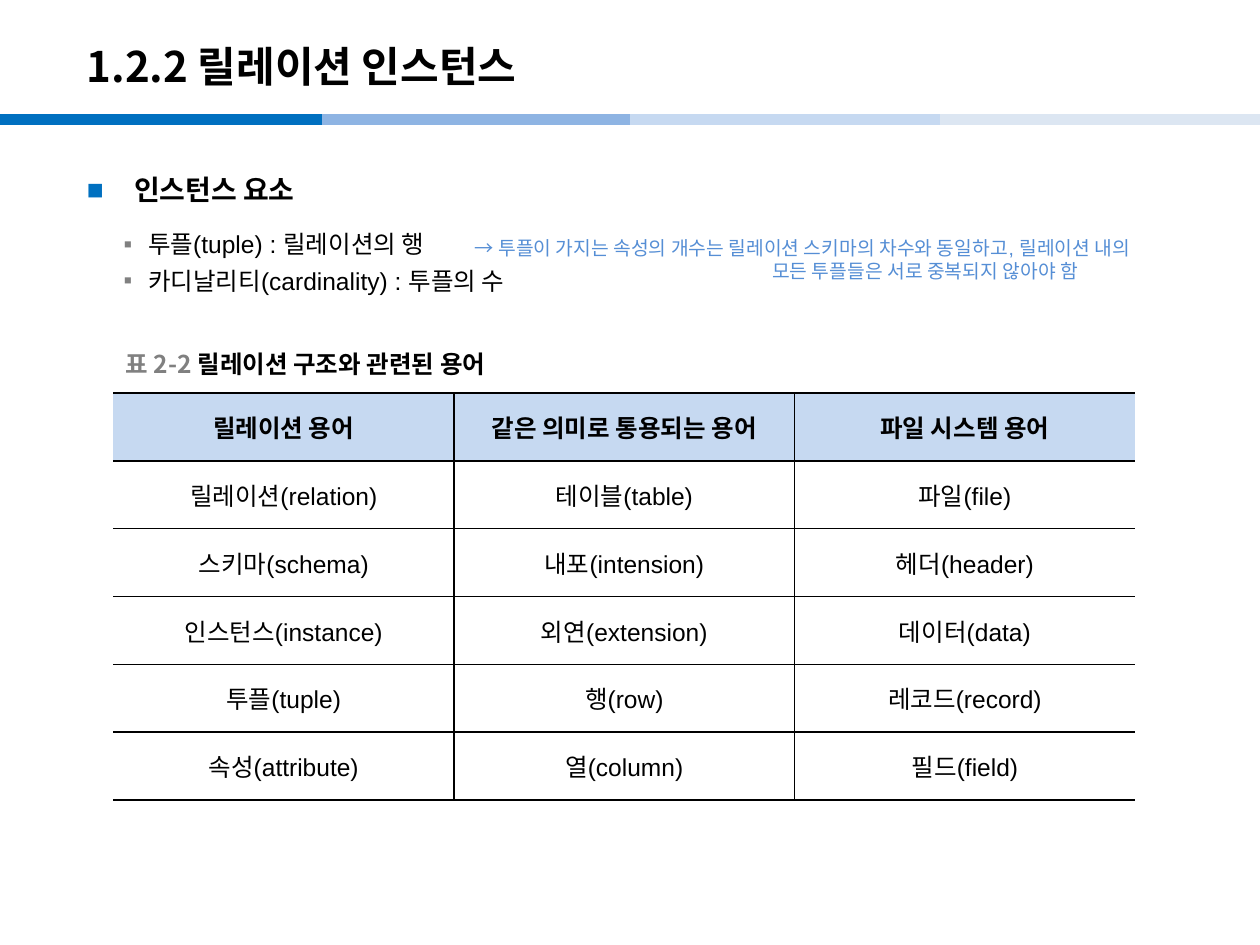
from lxml import etree
from pptx import Presentation
from pptx.dml.color import RGBColor
from pptx.enum.shapes import MSO_CONNECTOR
from pptx.enum.text import MSO_ANCHOR, PP_ALIGN
from pptx.oxml.ns import qn
from pptx.util import Pt

LINE = MSO_CONNECTOR.STRAIGHT
TOP, MIDDLE = MSO_ANCHOR.TOP, MSO_ANCHOR.MIDDLE
CENTER = PP_ALIGN.CENTER

# Content
TITLE = "1.2.2 릴레이션 인스턴스"
HEADING = "인스턴스 요소"
ITEMS = ["투플(tuple) : 릴레이션의 행", "카디날리티(cardinality) : 투플의 수"]
NOTE = [
    "→ 투플이 가지는 속성의 개수는 릴레이션 스키마의 차수와 동일하고, 릴레이션 내의",
    "모든 투플들은 서로 중복되지 않아야 함",
]
CAPTION = [("표 2-2 ", "gray"), ("릴레이션 구조와 관련된 용어", "text")]
TABLE = [
    ("릴레이션 용어", "같은 의미로 통용되는 용어", "파일 시스템 용어"),
    ("릴레이션(relation)", "테이블(table)", "파일(file)"),
    ("스키마(schema)", "내포(intension)", "헤더(header)"),
    ("인스턴스(instance)", "외연(extension)", "데이터(data)"),
    ("투플(tuple)", "행(row)", "레코드(record)"),
    ("속성(attribute)", "열(column)", "필드(field)"),
]

THEME = {
    "color": {"text": "000000", "gray": "808080", "note": "558ED5",
              "accent": "0070C0", "header": "C6D9F1", "cell": "FFFFFF"},
    "band": ["0070C0", "8EB4E3", "C6D9F1", "DCE6F2"],
    "size": {"title": 24, "heading": 16, "body": 14, "note": 11},
    "latin": "Arial",
    "korean": "Noto Sans CJK KR",
}
COLOR, SIZE = THEME["color"], THEME["size"]
LATIN, KOREAN = THEME["latin"], THEME["korean"]

# Layout, in points
SLIDE_W, SLIDE_H = 720, 540
BAND_Y, BAND_X = 68.4, [0, 184.3, 360, 537.1, SLIDE_W]
TABLE_X, TABLE_Y, COL_W, ROW_H = 64.8, 224.6, 194.64, 38.76


def add_run(p, text, size, font=LATIN, color="text", bold=False):
    r = p.add_run()
    r.text = text
    r.font.size = Pt(SIZE[size])
    r.font.name = font
    r.font.bold = bold
    r.font.color.rgb = RGBColor.from_string(COLOR[color])
    ea = etree.SubElement(r.font._element, qn("a:ea"))
    ea.set("typeface", KOREAN)


def add_text_box(s, x, y, w, h, anchor=MIDDLE):
    tf = s.shapes.add_textbox(Pt(x), Pt(y), Pt(w), Pt(h)).text_frame
    tf.word_wrap = True
    tf.vertical_anchor = anchor
    return tf


def set_indent(p, left, first=0):
    pPr = p._p.get_or_add_pPr()
    pPr.set("marL", str(Pt(left)))
    pPr.set("indent", str(Pt(first)))
    return pPr


def set_bullet(p, char, color, left, hang):
    pPr = set_indent(p, left, -hang)
    clr = etree.SubElement(pPr, qn("a:buClr"))
    etree.SubElement(clr, qn("a:srgbClr")).set("val", COLOR[color])
    etree.SubElement(pPr, qn("a:buFont")).set("typeface", LATIN)
    etree.SubElement(pPr, qn("a:buChar")).set("char", char)


def set_borders(cell, sides):
    tcPr = cell._tc.get_or_add_tcPr()
    for side in ("L", "R", "T", "B"):
        ln = etree.Element(qn(f"a:ln{side}"), w=str(Pt(1)))
        if side in sides:
            fill = etree.SubElement(ln, qn("a:solidFill"))
            etree.SubElement(fill, qn("a:srgbClr")).set("val", COLOR["text"])
        else:
            etree.SubElement(ln, qn("a:noFill"))
        tcPr.append(ln)


def add_band(s):
    for x1, x2, color in zip(BAND_X, BAND_X[1:], THEME["band"]):
        line = s.shapes.add_connector(LINE, Pt(x1), Pt(BAND_Y), Pt(x2), Pt(BAND_Y))
        line.line.width = Pt(6)
        line.line.color.rgb = RGBColor.from_string(color)
        etree.SubElement(line._element.spPr, qn("a:effectLst"))


def add_body(s):
    tf = add_text_box(s, 42.5, 85.7, 635, 430, TOP)
    p = tf.paragraphs[0]
    p.line_spacing = 1.5
    set_bullet(p, "■", "accent", 27, 27)
    add_run(p, HEADING, "heading", bold=True)
    for i, item in enumerate(ITEMS):
        p = tf.add_paragraph()
        p.space_before = Pt(0 if i else 13)
        p.space_after = Pt(4)
        set_bullet(p, "▪", "gray", 35, 14)
        add_run(p, item, "body")


def add_note(s):
    tf = add_text_box(s, 264.2, 122.4, 455.8, 51.1)
    for i, text in enumerate(NOTE):
        p = tf.add_paragraph() if i else tf.paragraphs[0]
        set_indent(p, 170 * i)
        add_run(p, text, "note", color="note")


def add_terms_table(s):
    rows, cols = len(TABLE), len(TABLE[0])
    table = s.shapes.add_table(rows, cols, Pt(TABLE_X), Pt(TABLE_Y),
                               Pt(COL_W * cols), Pt(ROW_H * rows)).table
    for i, row in enumerate(TABLE):
        table.rows[i].height = Pt(ROW_H)
        header = i == 0
        for j, text in enumerate(row):
            cell = table.cell(i, j)
            cell.vertical_anchor = MIDDLE
            # Open at the outer left and right edges
            set_borders(cell, "TB" + "L" * (j > 0) + "R" * (j < cols - 1))
            cell.fill.solid()
            cell.fill.fore_color.rgb = RGBColor.from_string(
                COLOR["header" if header else "cell"])
            p = cell.text_frame.paragraphs[0]
            p.alignment = CENTER
            add_run(p, text, "body", KOREAN if header else LATIN, bold=header)
    for col in table.columns:
        col.width = Pt(COL_W)


def main():
    prs = Presentation()
    prs.slide_width, prs.slide_height = Pt(SLIDE_W), Pt(SLIDE_H)
    s = prs.slides.add_slide(prs.slide_layouts[6])

    add_band(s)
    # Title
    tf = add_text_box(s, 42.5, 15.8, 595.4, 43.2)
    add_run(tf.paragraphs[0], TITLE, "title", KOREAN, bold=True)
    add_body(s)
    add_terms_table(s)
    # Table caption
    tf = add_text_box(s, 64.8, 196.6, 260, 22.3)
    for text, color in CAPTION:
        add_run(tf.paragraphs[0], text, "body", KOREAN, color, True)
    add_note(s)

    prs.save("out.pptx")


if __name__ == "__main__":
    main()
